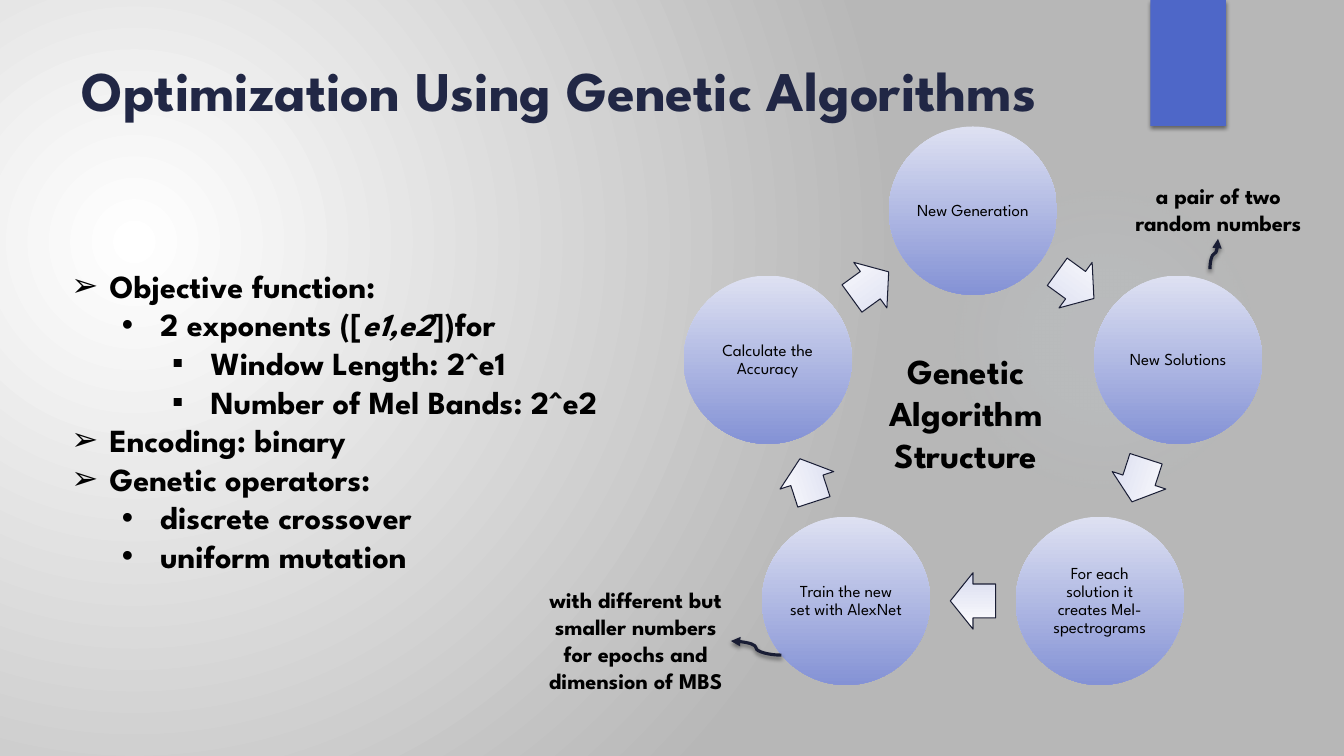
from dataclasses import dataclass
from math import cos, pi, sin

from lxml.etree import SubElement
from pptx import Presentation
from pptx.dml.color import RGBColor
from pptx.enum.shapes import MSO_CONNECTOR as CONN, MSO_SHAPE as SHAPE
from pptx.enum.text import MSO_ANCHOR as ANCHOR, PP_ALIGN as ALIGN
from pptx.oxml.ns import qn
from pptx.util import Inches, Pt

FONT = "League Spartan"
BLACK = RGBColor(0x00, 0x00, 0x00)
WHITE = RGBColor(0xFF, 0xFF, 0xFF)
GREY = RGBColor(0xB7, 0xB7, 0xB7)
NAVY = RGBColor(0x21, 0x27, 0x45)
DARK = RGBColor(0x19, 0x1D, 0x34)
BLUE = RGBColor(0x4E, 0x67, 0xC8)
SKY = RGBColor(0xD2, 0xEA, 0xFC)
PALE = RGBColor(0xDE, 0xE1, 0xF2)
PERIWINKLE = RGBColor(0x84, 0x92, 0xD5)
LAVENDER = RGBColor(0xD7, 0xDA, 0xEF)

# Ring of steps
CENTER_X, CENTER_Y, RADIUS = 9.65, 4.23, 2.14
CIRCLE, ARROW_W, ARROW_H = 1.67, 0.45, 0.56
STEPS = ["New Generation", "New Solutions",
         "For each solution it creates Mel-spectrograms",
         "Train the new set with AlexNet", "Calculate the Accuracy"]


@dataclass
class Label:
    box: tuple[float, float, float, float]
    size: float
    lines: list[str]


@dataclass
class Bullet:
    level: int
    runs: list[tuple[str, bool]]  # text, italic


@dataclass
class Curve:
    begin: tuple[float, float]
    end: tuple[float, float]
    rotation: int


LABELS = [
    Label((8.66, 3.42, 1.84, 1.36), 25, ["Genetic", "Algorithm", "Structure"]),
    Label((11.05, 1.76, 2.07, 0.64), 16, ["a pair of two", "random numbers"]),
    Label((5.25, 5.77, 2.11, 1.18), 16,
          ["with different but", "smaller numbers", "for epochs and", "dimension of MBS"]),
]
BULLETS = [
    Bullet(0, [("Objective function:", False)]),
    Bullet(1, [("2 exponents ([", False), ("e1,e2", True), ("])for", False)]),
    Bullet(2, [("Window Length: 2^e1", False)]),
    Bullet(2, [("Number of Mel Bands: 2^e2", False)]),
    Bullet(0, [("Encoding: binary", False)]),
    Bullet(0, [("Genetic operators:", False)]),
    Bullet(1, [("discrete crossover", False)]),
    Bullet(1, [("uniform mutation", False)]),
]
MARKS = "➢•▪"
CURVES = [Curve((12.19, 2.56), (11.89, 2.48), 90), Curve((7.75, 6.5), (7.25, 6.36), 0)]


def add_run(p, text: str, size: float, color=BLACK, bold=True, italic=False) -> None:
    r = p.add_run()
    r.text = text
    f = r.font
    f.name, f.size, f.bold, f.italic = FONT, Pt(size), bold, italic
    f.color.rgb = color


def linear(fill, top: RGBColor, bottom: RGBColor) -> None:
    fill.gradient()
    fill.gradient_angle = 270
    for stop, color in zip(fill.gradient_stops, (top, bottom)):
        stop.color.rgb = color


def radial(grad, focus: tuple[int, ...], stops: list[tuple[int, RGBColor, int]]) -> None:
    """Turn a gradient fill into a circular one; stops are position, colour, opacity."""
    for child in list(grad):
        grad.remove(child)
    gs_list = SubElement(grad, qn("a:gsLst"))
    for pos, color, opacity in stops:
        gs = SubElement(gs_list, qn("a:gs"), pos=str(pos * 1000))
        clr = SubElement(gs, qn("a:srgbClr"), val=str(color))
        SubElement(clr, qn("a:alpha"), val=str(opacity * 1000))
    circle = SubElement(grad, qn("a:path"), {"path": "circle"})
    sides = {k: str(v * 1000) for k, v in zip("ltrb", focus)}
    SubElement(circle, qn("a:fillToRect"), sides)


def add_shadow(effects) -> None:
    shadow = SubElement(effects, qn("a:outerShdw"), blurRad=str(Pt(3)), dist=str(Pt(2)),
                        dir="5400000", rotWithShape="0")
    clr = SubElement(shadow, qn("a:srgbClr"), val=str(BLACK))
    SubElement(clr, qn("a:alpha"), val="45000")


def add_shape(s, kind, x: float, y: float, w: float, h: float):
    sp = s.shapes.add_shape(kind, Inches(x), Inches(y), Inches(w), Inches(h))
    sp.line.fill.background()
    sp.shadow.inherit = False
    return sp


def add_text_frame(s, x: float, y: float, w: float, h: float):
    tf = s.shapes.add_textbox(Inches(x), Inches(y), Inches(w), Inches(h)).text_frame
    tf.word_wrap = True
    return tf


def next_paragraph(tf, i: int):
    return tf.add_paragraph() if i else tf.paragraphs[0]


def ring_point(degrees: float, radius: float) -> tuple[float, float]:
    a = degrees * pi / 180
    return CENTER_X + radius * sin(a), CENTER_Y - radius * cos(a)


def add_step(s, text: str, degrees: float) -> None:
    x, y = ring_point(degrees, RADIUS)
    sp = add_shape(s, SHAPE.OVAL, x - CIRCLE / 2, y - CIRCLE / 2, CIRCLE, CIRCLE)
    linear(sp.fill, PALE, PERIWINKLE)
    tf = sp.text_frame
    tf.word_wrap, tf.vertical_anchor = True, ANCHOR.MIDDLE
    tf.margin_left = tf.margin_right = tf.margin_top = tf.margin_bottom = Inches(0.02)
    p = tf.paragraphs[0]
    p.alignment, p.line_spacing = ALIGN.CENTER, 0.9
    add_run(p, text, 12, bold=False)


def add_ring_arrow(s, degrees: float) -> None:
    x, y = ring_point(degrees, RADIUS * cos(pi / len(STEPS)))
    sp = add_shape(s, SHAPE.RIGHT_ARROW, x - ARROW_W / 2, y - ARROW_H / 2, ARROW_W, ARROW_H)
    sp.adjustments[0], sp.adjustments[1] = 0.6, 0.5
    sp.rotation = degrees
    linear(sp.fill, WHITE, LAVENDER)
    sp.line.color.rgb, sp.line.width = DARK, Pt(0.75)


def add_curve(s, curve: Curve) -> None:
    ends = [Inches(v) for v in (*curve.begin, *curve.end)]
    cx = s.shapes.add_connector(CONN.CURVE, *ends)
    cx.line.color.rgb, cx.line.width = DARK, Pt(2.25)
    spPr = cx.element.spPr
    SubElement(spPr.find(qn("a:ln")), qn("a:tailEnd"), type="triangle")
    spPr.find(qn("a:xfrm")).set("rot", str(curve.rotation * 60000))
    add_shadow(SubElement(spPr, qn("a:effectLst")))


def add_bullet(p, bullet: Bullet) -> None:
    p.level = bullet.level
    pPr = p._p.get_or_add_pPr()
    pPr.set("marL", str(Inches(0.38 + 0.5 * bullet.level)))
    pPr.set("indent", str(Inches(-0.38)))
    SubElement(pPr, qn("a:buFont"), typeface="Arial")
    SubElement(pPr, qn("a:buChar"), char=MARKS[bullet.level])
    for text, italic in bullet.runs:
        add_run(p, text, 23, italic=italic)


def main() -> None:
    prs = Presentation()
    prs.slide_width, prs.slide_height = Inches(13.33), Inches(7.5)
    s = prs.slides.add_slide(prs.slide_layouts[5])

    # Background, halo and ribbon
    s.background.fill.gradient()
    radial(s.element.xpath(".//p:bgPr/a:gradFill")[0], (45, 65, 125, 100),
           [(0, WHITE, 100), (100, GREY, 100)])
    halo = add_shape(s, SHAPE.OVAL, 9.41, 1.83, 3.08, 3.08)
    halo.fill.gradient()
    radial(halo.element.spPr.find(qn("a:gradFill")), (50, 50, 50, 50),
           [(0, SKY, 7), (36, SKY, 6), (69, SKY, 0)])
    ribbon = add_shape(s, SHAPE.RECTANGLE, 11.41, 0, 0.75, 1.25)
    ribbon.fill.solid()
    ribbon.fill.fore_color.rgb = BLUE
    add_shadow(ribbon.element.spPr.find(qn("a:effectLst")))

    # Title
    title = s.shapes.title
    title.left, title.top = Inches(0.71), Inches(0.5)
    title.width, title.height = Inches(10.28), Inches(1.53)
    title.text_frame.vertical_anchor = ANCHOR.TOP
    p = title.text_frame.paragraphs[0]
    p.alignment = ALIGN.LEFT
    add_run(p, "Optimization Using Genetic Algorithms", 40, NAVY)

    # Cycle of steps
    turn = 360 / len(STEPS)
    for i, step in enumerate(STEPS):
        add_step(s, step, i * turn)
        add_ring_arrow(s, (i + 0.5) * turn)

    # Labels and their curved arrows
    for label in LABELS:
        tf = add_text_frame(s, *label.box)
        for i, line in enumerate(label.lines):
            p = next_paragraph(tf, i)
            p.alignment = ALIGN.CENTER
            add_run(p, line, label.size)
    for curve in CURVES:
        add_curve(s, curve)

    # Bullet list
    tf = add_text_frame(s, 0.61, 2.59, 5.87, 3.2)
    for i, bullet in enumerate(BULLETS):
        add_bullet(next_paragraph(tf, i), bullet)

    prs.save("out.pptx")


if __name__ == "__main__":
    main()
